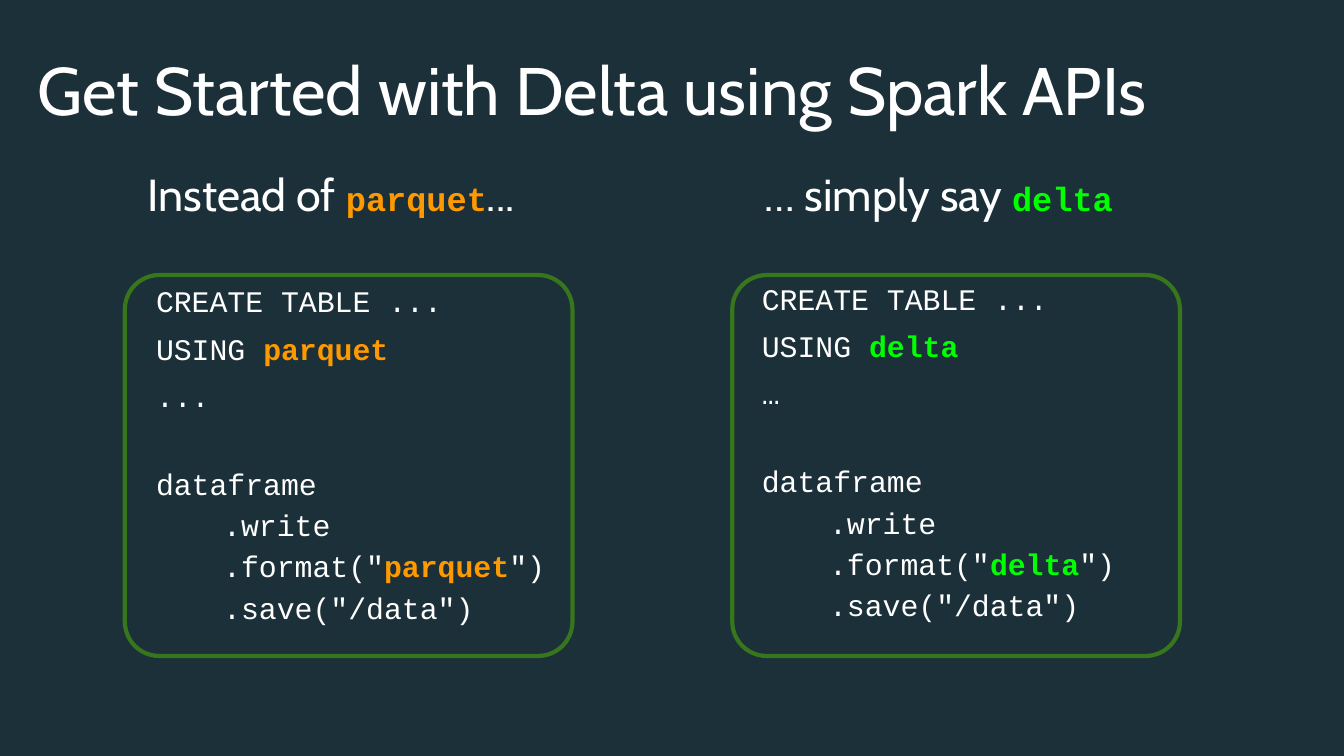
"""Build the slide that compares the parquet and delta Spark APIs."""

from dataclasses import dataclass

from lxml.etree import SubElement
from pptx import Presentation
from pptx.dml.color import RGBColor
from pptx.enum.shapes import MSO_SHAPE
from pptx.enum.text import MSO_ANCHOR
from pptx.oxml.ns import qn
from pptx.slide import Slide
from pptx.text.text import TextFrame
from pptx.util import Cm, Pt


@dataclass(frozen=True)
class Theme:
    background: str = "1B3038"
    text: str = "FFFFFF"
    border: str = "38761D"
    parquet: str = "FF9900"
    delta: str = "00FF00"
    sans: str = "Cabin"
    mono: str = "Courier New"
    title_size: float = 36
    heading_size: float = 24
    keyword_size: float = 18
    code_size: float = 16
    border_width: float = 2.25


THEME = Theme()


@dataclass(frozen=True)
class Span:
    text: str
    font: str = THEME.mono
    size: float = THEME.code_size
    color: str = THEME.text
    bold: bool = False


@dataclass(frozen=True)
class Line:
    spans: list[Span]
    spacing: float = 1.0
    before: float = 0
    indent: float = 0


@dataclass(frozen=True)
class Area:
    left: float
    top: float
    width: float
    height: float

    def lengths(self) -> tuple[Cm, Cm, Cm, Cm]:
        return Cm(self.left), Cm(self.top), Cm(self.width), Cm(self.height)


@dataclass(frozen=True)
class Example:
    keyword: str
    color: str
    before_keyword: str
    after_keyword: str
    ellipsis: str
    heading: Area
    frame: Area
    code: Area


EXAMPLES = [
    Example("delta", THEME.delta, "… simply say ", "", "…",
            Area(14.2, 2.9, 8.03, 1.65), Area(13.84, 5.2, 8.46, 7.2),
            Area(14.4, 5.28, 8.46, 7.01)),
    Example("parquet", THEME.parquet, "Instead of ", "...", "...",
            Area(2.54, 2.9, 8.46, 1.65), Area(2.36, 5.2, 8.46, 7.2),
            Area(2.95, 5.33, 8.18, 6.81)),
]


def add_line(frame: TextFrame, line: Line, first: bool) -> None:
    """Write one paragraph span by span."""
    para = frame.paragraphs[0] if first else frame.add_paragraph()
    para.line_spacing = line.spacing
    para.space_before = Pt(line.before)
    properties = para._p.get_or_add_pPr()
    properties.set("marL", str(Cm(line.indent)))
    properties.set("indent", "0")
    SubElement(properties, qn("a:buNone"))
    for span in line.spans:
        run = para.add_run()
        run.text = span.text
        run.font.name = span.font
        run.font.size = Pt(span.size)
        run.font.bold = span.bold
        run.font.color.rgb = RGBColor.from_string(span.color)


def add_text(page: Slide, area: Area, lines: list[Line], side: float = 0,
             edge: float = 0.1, anchor: MSO_ANCHOR = MSO_ANCHOR.TOP) -> None:
    """Place a wrapped text box with the given margins."""
    frame = page.shapes.add_textbox(*area.lengths()).text_frame
    frame.word_wrap = True
    frame.vertical_anchor = anchor
    frame.margin_left = frame.margin_right = Cm(side)
    frame.margin_top = frame.margin_bottom = Cm(edge)
    for index, line in enumerate(lines):
        add_line(frame, line, index == 0)


def add_frame(page: Slide, area: Area) -> None:
    """Outline a code panel with rounded corners."""
    box = page.shapes.add_shape(MSO_SHAPE.ROUNDED_RECTANGLE, *area.lengths())
    box.adjustments[0] = 0.09
    box.shadow.inherit = False
    box.fill.background()
    box.line.color.rgb = RGBColor.from_string(THEME.border)
    box.line.width = Pt(THEME.border_width)


def code_lines(example: Example) -> list[Line]:
    """Return the SQL and dataframe code for one format."""
    keyword = Span(example.keyword, color=example.color, bold=True)
    sql = [[Span("CREATE TABLE ...")], [Span("USING "), keyword],
           [Span(example.ellipsis)]]
    calls = [[Span(".write")], [Span('.format("'), keyword, Span('")')],
             [Span('.save("/data")')]]
    return [
        *(Line(spans, 0.9, 8 if row else 0) for row, spans in enumerate(sql)),
        Line([Span("dataframe")], 1.15, 25),
        *(Line(spans, 1.15, indent=1.27) for spans in calls),
    ]


def add_example(page: Slide, example: Example) -> None:
    """Draw the heading, panel and code of one format."""
    spans = [
        Span(example.before_keyword, THEME.sans, THEME.heading_size),
        Span(example.keyword, size=THEME.keyword_size, color=example.color, bold=True),
    ]
    if example.after_keyword:
        spans.append(Span(example.after_keyword, THEME.sans, THEME.heading_size))
    add_frame(page, example.frame)
    add_text(page, example.code, code_lines(example))
    add_text(page, example.heading, [Line(spans)], side=0.25, edge=0.25)


def main() -> None:
    """Build and save the deck."""
    deck = Presentation()
    deck.slide_width, deck.slide_height = Cm(25.4), Cm(14.29)
    page = deck.slides.add_slide(deck.slide_layouts[6])
    page.background.fill.solid()
    page.background.fill.fore_color.rgb = RGBColor.from_string(THEME.background)
    title = Span("Get Started with Delta using Spark APIs", THEME.sans, THEME.title_size)
    add_text(page, Area(0.71, 0.58, 23.77, 2.39), [Line([title], 0.9)],
             anchor=MSO_ANCHOR.MIDDLE)
    for example in EXAMPLES:
        add_example(page, example)
    deck.save("out.pptx")


if __name__ == "__main__":
    main()
